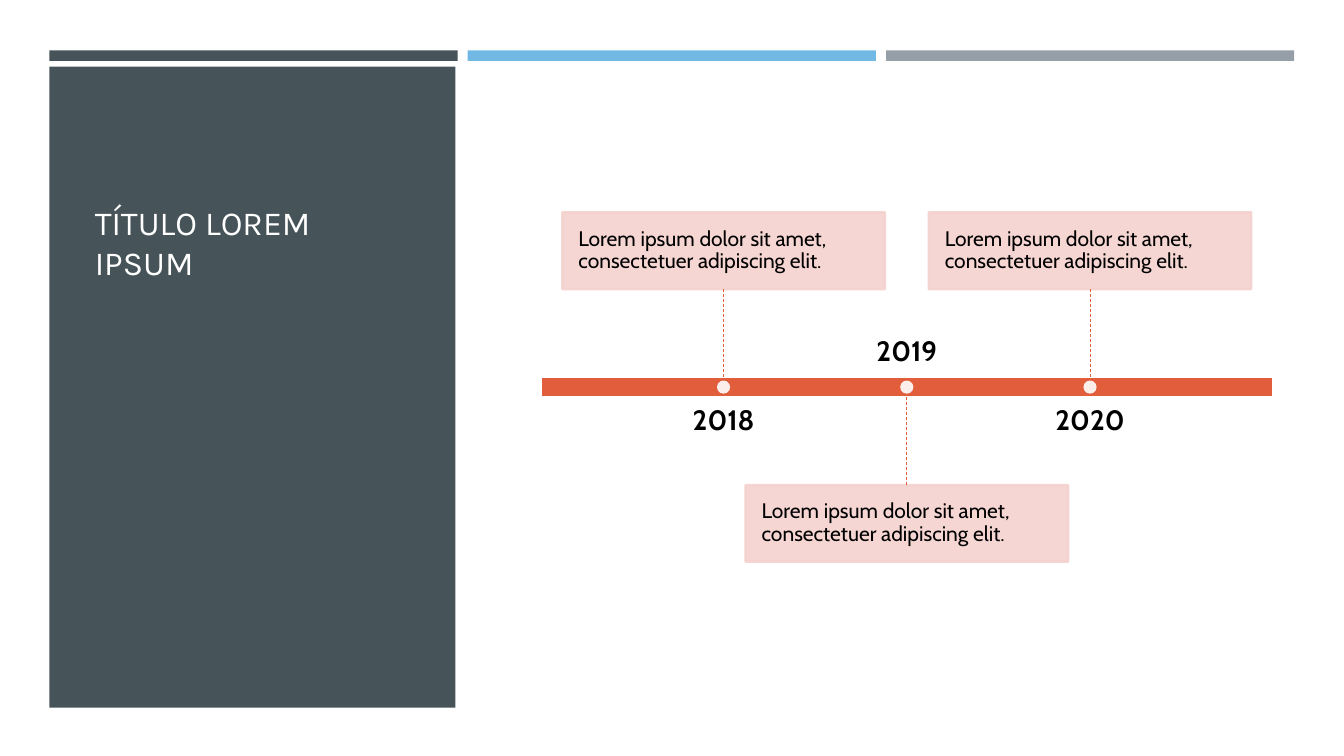
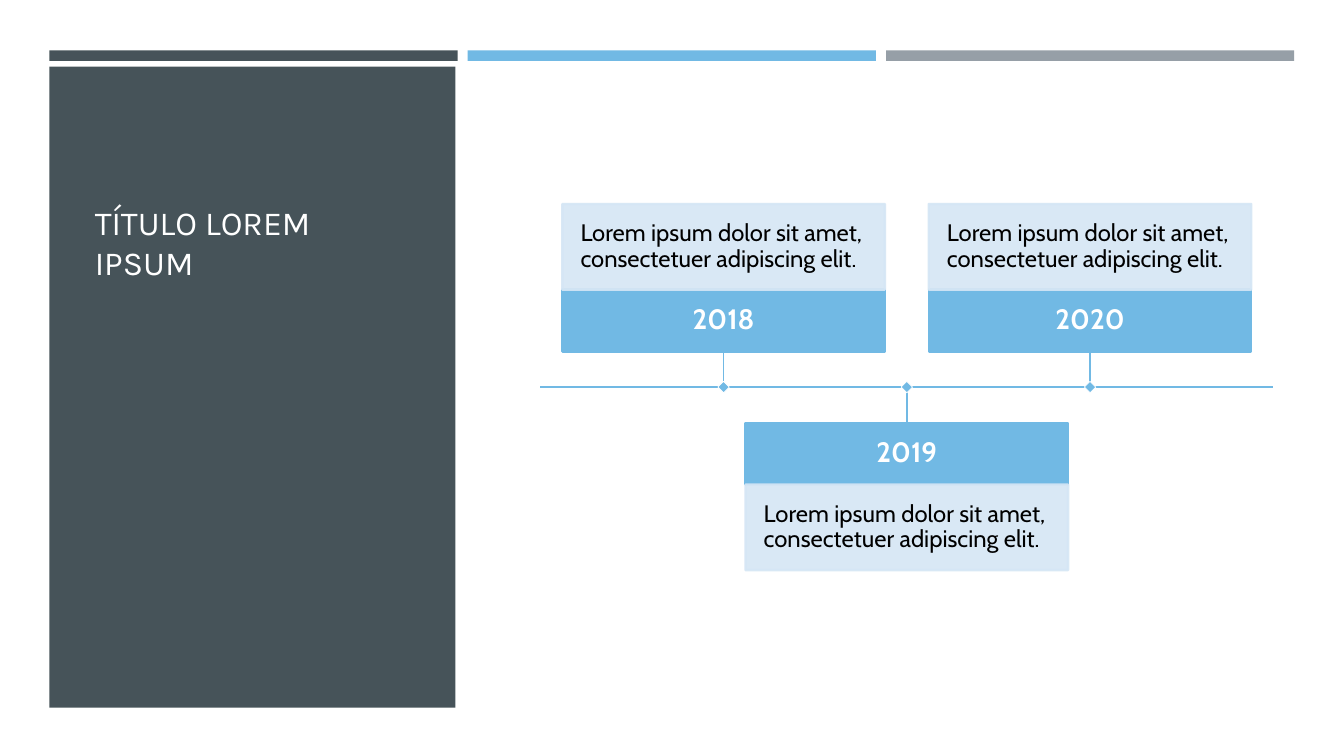
from collections import namedtuple

from lxml import etree
from pptx import Presentation
from pptx.dml import color
from pptx.enum import dml, shapes, text
from pptx.oxml import ns
from pptx.util import Pt

Box = namedtuple("Box", "left top width height")

# Shared look
SLATE, SKY, GREY = "465359", "71B9E4", "969FA7"
ORANGE, ROSE, PALE_BLUE = "E25D3C", "F4D2CE", "D5E6F5"
WHITE, BLACK = "FFFFFF", "000000"
TITLE_FONT, BODY_FONT = "Karla", "Cabin"
LINE_WIDTH = 1.75
ABOVE, BELOW = -1, 1

# Shared regions
BANDS = Box(35.3, 36, 889.2, 7.5)
BAND_GAP = 7.2
PANEL = Box(35.3, 47.5, 290, 458)
TITLE = Box(60.5, 73.4, 239, 135.4)
TIMELINE = Box(386, 36, 523.5, 481)

# Shared wording
HEADING = "TÍTULO LOREM IPSUM"
DETAIL = "Lorem ipsum dolor sit amet, consectetuer adipiscing elit."
EVENTS = [("2018", ABOVE), ("2019", BELOW), ("2020", ABOVE)]
CARD_WIDTH = 230.4


def rgb(value):
    return color.RGBColor.from_string(value)


def lengths(box):
    return [Pt(round(value, 2)) for value in box]


def set_color(color_format, value, opacity=100):
    """Apply a solid colour to a fill or a line fill."""
    color_format.solid()
    color_format.fore_color.rgb = rgb(value)
    if opacity < 100:
        for element in color_format.fore_color._xFill.iter(ns.qn("a:srgbClr")):
            etree.SubElement(element, ns.qn("a:alpha"), val=str(opacity * 1000))


def add_block(slide, box, fill, line=None, line_width=LINE_WIDTH, opacity=100,
              kind=shapes.MSO_SHAPE.RECTANGLE):
    shape = slide.shapes.add_shape(kind, *lengths(box))
    shape.shadow.inherit = False
    set_color(shape.fill, fill, opacity)
    if line:
        set_color(shape.line.fill, line, opacity)
        shape.line.width = Pt(line_width)
    else:
        shape.line.fill.background()
    return shape


def write(shape, words, size, font=BODY_FONT, ink=BLACK, bold=False, inset=0,
          align=text.PP_ALIGN.LEFT, anchor=text.MSO_ANCHOR.MIDDLE, spacing=0.9):
    frame = shape.text_frame
    frame.word_wrap = True
    frame.auto_size = text.MSO_AUTO_SIZE.NONE
    frame.vertical_anchor = anchor
    frame.margin_left = frame.margin_right = Pt(inset)
    frame.margin_top = frame.margin_bottom = Pt(inset)
    paragraph = frame.paragraphs[0]
    paragraph.text = words
    paragraph.alignment = align
    paragraph.line_spacing = spacing
    paragraph.font.name = font
    paragraph.font.size = Pt(size)
    paragraph.font.bold = bold
    paragraph.font.color.rgb = rgb(ink)


def add_line(slide, start, end, ink, width, dashed=False):
    connector = slide.shapes.add_connector(
        shapes.MSO_CONNECTOR.STRAIGHT, *lengths(start + end))
    connector.line.color.rgb = rgb(ink)
    connector.line.width = Pt(width)
    if dashed:
        connector.line.dash_style = dml.MSO_LINE.DASH
    etree.SubElement(connector._element.spPr, ns.qn("a:effectLst"))
    return connector


def add_stem(slide, card, side, start, end, **style):
    """Join a card to the axis, from the side of the card that faces it."""
    stem = add_line(slide, start, end, **style)
    stem.begin_connect(card, 2 if side == ABOVE else 0)


def beside_axis(center, axis, side, distance, width, height):
    """Box centred on an event, at a distance above or below the axis."""
    top = axis + distance if side == BELOW else axis - distance - height
    return Box(center - width / 2, top, width, height)


def around(center, axis, size):
    return Box(center - size / 2, axis - size / 2, size, size)


def event_layout(box):
    """Yield year, side and centre for events at equal steps along the box."""
    step = box.width / (len(EVENTS) + 1)
    for number, (year, side) in enumerate(EVENTS, 1):
        yield year, side, box.left + number * step


def decorate_layout(layout, slide):
    """Draw bands and panel, then move them to the layout behind its titles."""
    width = (BANDS.width - 2 * BAND_GAP) / 3
    parts = [
        add_block(slide, Box(BANDS.left + column * (width + BAND_GAP),
                             BANDS.top, width, BANDS.height), fill)
        for column, fill in enumerate([SLATE, SKY, GREY])
    ]
    parts.append(add_block(slide, PANEL, SLATE))
    for index, part in enumerate(parts):
        part._element.nvSpPr.cNvPr.set("id", str(101 + index))
        layout.shapes.element.insert(2 + index, part._element)


def add_title(slide, box):
    title = slide.shapes.title
    title.left, title.top, title.width, title.height = lengths(box)
    write(title, HEADING, 24, TITLE_FONT, WHITE, inset=7.2,
          anchor=text.MSO_ANCHOR.BOTTOM, spacing=1.0)


def add_bar_timeline(slide, box):
    """Thick bar with years beside it and cards on dashed stems."""
    axis = box.top + box.height / 2
    bar_height, card_distance = 14.4, 70
    add_block(slide, Box(box.left, axis - bar_height / 2, box.width, bar_height),
              ORANGE, WHITE)
    for year, side, center in event_layout(box):
        # Year on the side away from the card
        label = slide.shapes.add_textbox(
            *lengths(beside_axis(center, axis, -side, 13.7, 209.4, 41.8)))
        write(label, year, 20, bold=True, align=text.PP_ALIGN.CENTER,
              anchor=text.MSO_ANCHOR.TOP if side == ABOVE else text.MSO_ANCHOR.BOTTOM)
        # Card and stem
        card = add_block(
            slide, beside_axis(center, axis, side, card_distance, CARD_WIDTH, 54.7),
            ROSE, ROSE, opacity=90)
        write(card, DETAIL, 15, inset=11.5)
        add_stem(slide, card, side, (center, axis + side * card_distance),
                 (center, axis + side * bar_height / 2),
                 ink=ORANGE, width=0.5, dashed=True)
        # Marker
        add_block(slide, around(center, axis, 9.4), WHITE, opacity=90,
                  kind=shapes.MSO_SHAPE.OVAL)


def add_line_timeline(slide, box):
    """Thin line with two-part cards: year next to the line, detail beyond."""
    axis = box.top + box.height / 2
    year_distance, year_height = 25.5, 44.1
    add_line(slide, (box.left, axis), (box.left + box.width, axis), SKY, LINE_WIDTH)
    for year, side, center in event_layout(box):
        # Year and detail
        heading = add_block(
            slide, beside_axis(center, axis, side, year_distance, CARD_WIDTH, year_height),
            SKY, SKY)
        write(heading, year, 20, ink=WHITE, bold=True, inset=8,
              align=text.PP_ALIGN.CENTER)
        detail = add_block(
            slide, beside_axis(center, axis, side, year_distance + year_height,
                               CARD_WIDTH, 61.2),
            PALE_BLUE, PALE_BLUE, opacity=90)
        write(detail, DETAIL, 17, inset=13)
        # Stem and marker
        add_stem(slide, heading, side, (center, axis + side * year_distance),
                 (center, axis), ink=SKY, width=1)
        marker = add_block(slide, around(center, axis, 5.8), SKY, WHITE, 0.5)
        marker.rotation = 45


def main():
    presentation = Presentation()
    presentation.slide_width, presentation.slide_height = Pt(960), Pt(540)
    layout = presentation.slide_layouts.get_by_name("Title Only")
    for number, add_timeline in enumerate([add_bar_timeline, add_line_timeline]):
        slide = presentation.slides.add_slide(layout)
        if number == 0:
            decorate_layout(layout, slide)
        add_title(slide, TITLE)
        add_timeline(slide, TIMELINE)
    presentation.save("out.pptx")


if __name__ == "__main__":
    main()
